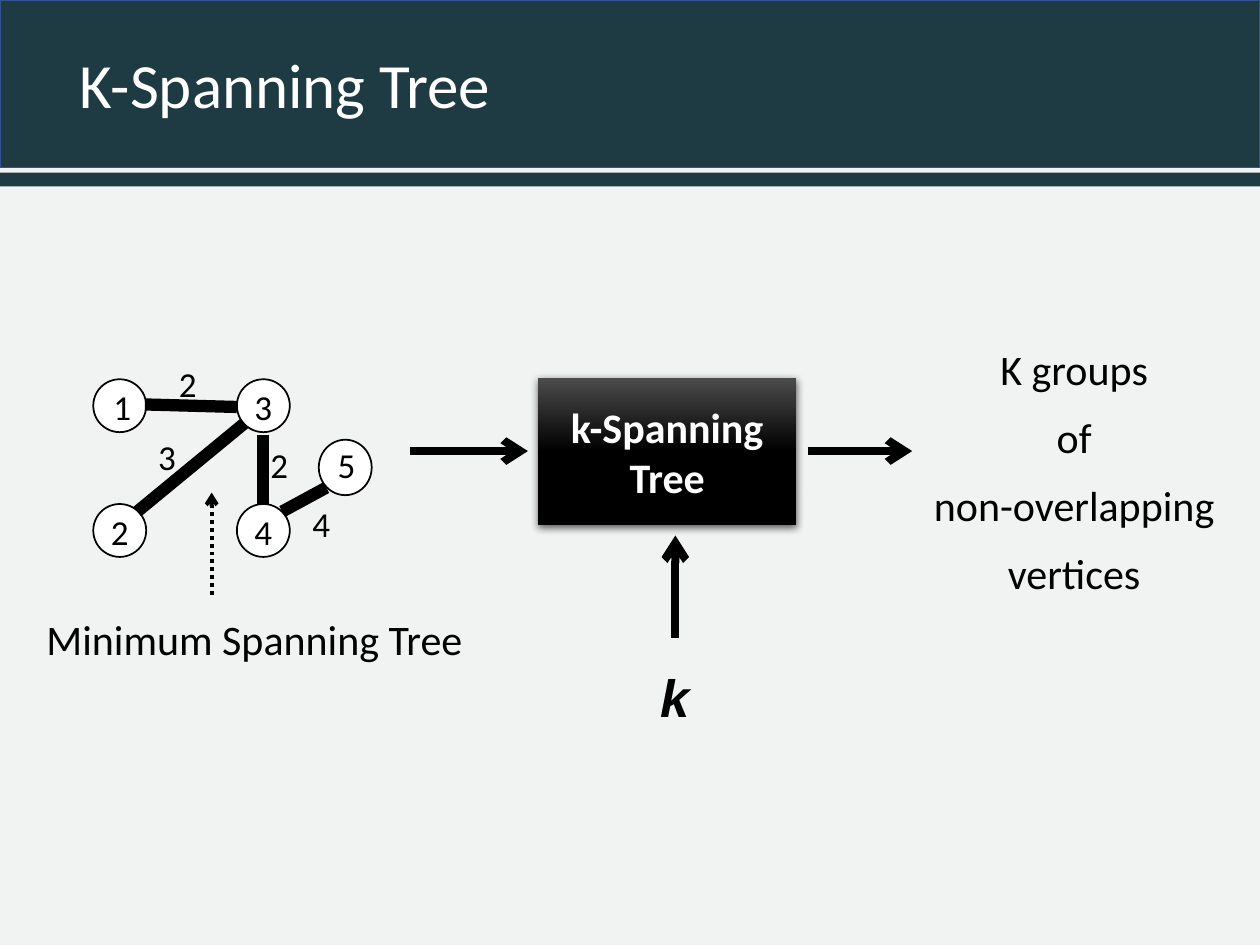
"""Build the K-Spanning Tree slide."""
from lxml.etree import SubElement as Sub
from pptx import Presentation
from pptx.dml.color import RGBColor as RGB
from pptx.enum.dml import MSO_LINE as Dash
from pptx.enum.shapes import MSO_CONNECTOR as Conn, MSO_SHAPE as Form
from pptx.enum.text import MSO_ANCHOR as Anchor, PP_ALIGN as Align
from pptx.oxml.ns import qn
from pptx.util import Pt

PX = 9144
DARK = RGB(0x1E, 0x3A, 0x42)
EDGE = RGB(0x32, 0x54, 0x91)
PALE = RGB(0xF1, 0xF3, 0xF3)
GRAY = RGB(0x4B, 0x4B, 0x4B)
BLACK = RGB(0, 0, 0)
WHITE = RGB(255, 255, 255)

deck = Presentation()
deck.slide_width, deck.slide_height = 1000 * PX, 750 * PX
slide = deck.slides.add_slide(deck.slide_layouts[6])
slide.background.fill.solid()
slide.background.fill.fore_color.rgb = PALE
shapes = slide.shapes


def write(shape, lines, wrap=True, align=Align.CENTER, anchor=Anchor.TOP, color=BLACK, **look):
    frame = shape.text_frame
    frame.word_wrap = wrap
    frame.vertical_anchor = anchor
    frame.text = "\n".join(lines)
    for i, para in enumerate(frame.paragraphs):
        para.alignment = align
        para.space_before = Pt(10 if i else 0)
        for run in para.runs:
            for key, val in ({"name": "Calibri", "size": Pt(24)} | look).items():
                setattr(run.font, key, val)
            run.font.color.rgb = color


def link(ends, width, arrow=False, dash=None):
    line = shapes.add_connector(Conn.STRAIGHT, *[n * PX for n in ends])
    line.line.color.rgb = BLACK
    line.line.width = Pt(width)
    if dash:
        line.line.dash_style = dash
    if arrow:
        Sub(line.line._get_or_add_ln(), qn("a:tailEnd"), type="arrow")
    Sub(line._element.spPr, qn("a:effectLst"))


bands = [(Form.RECTANGLE, (0, 0, 1000, 133), DARK, EDGE),
         (Form.RECTANGLE, (0, 137, 1000, 11), DARK, None)]
nodes = [(Form.OVAL, (x, y, 42, 42), WHITE, BLACK) for y in (301, 400) for x in (74, 188)]
nodes.append((Form.OVAL, (253, 349, 42, 44), WHITE, BLACK))
for form, area, fill, edge in bands + nodes:
    item = shapes.add_shape(form, *[n * PX for n in area])
    item.shadow.inherit = False
    item.fill.solid()
    item.fill.fore_color.rgb = fill
    if edge:
        item.line.color.rgb = edge
        item.line.width = Pt(1)
    else:
        item.line.fill.background()

for ends in [(115, 321, 188, 323), (194, 336, 109, 406), (209, 345, 209, 400), (224, 406, 259, 387)]:
    link(ends, 7)

tags = [("1", 76, 301, 42), ("2", 74, 400, 42), ("3", 188, 301, 42), ("4", 188, 400, 42),
        ("5", 254, 347, 42), ("2", 126, 283, 46), ("3", 105, 341, 55), ("2", 197, 347, 49),
        ("4", 232, 394, 46)]
small = {"size": Pt(20)}
texts = [([tag], (x, y, w, 44), small) for tag, x, y, w in tags]
texts += [
    (["K-Spanning Tree"], (53, 0, 947, 133),
     {"size": Pt(36), "color": WHITE, "align": Align.LEFT, "anchor": Anchor.MIDDLE}),
    (["k"], (514, 523, 44, 61),
     {"name": "Arial", "size": Pt(30), "bold": True, "italic": True, "wrap": False, "align": Align.LEFT}),
    (["Minimum Spanning Tree"], (27, 482, 377, 50), {"wrap": False, "align": Align.LEFT}),
    (["K groups", "of", "non-overlapping", "vertices"], (715, 268, 275, 214), {"wrap": False}),
]
for lines, area, look in texts:
    write(shapes.add_textbox(*[n * PX for n in area]), lines, **look)

box = shapes.add_shape(Form.RECTANGLE, *[n * PX for n in (427, 300, 205, 117)])
box.line.fill.background()
box.fill.gradient()
box.fill.gradient_angle = 270
for stop, color, place in zip(box.fill.gradient_stops, (GRAY, BLACK), (0, 0.5)):
    stop.color.rgb = color
    stop.position = place
box.shadow.inherit = False
glow = Sub(box._element.spPr.find(qn("a:effectLst")), qn("a:outerShdw"),
           blurRad=str(Pt(4.5)), dist=str(Pt(1.5)), dir="5400000", rotWithShape="0")
Sub(Sub(glow, qn("a:srgbClr"), val="000000"), qn("a:alpha"), val="63000")
write(box, ["k-Spanning Tree"], anchor=Anchor.MIDDLE, color=WHITE, bold=True)

for ends in [(325, 358, 419, 358), (536, 506, 536, 425), (641, 358, 724, 358)]:
    link(ends, 4.5, arrow=True)
link((168, 472, 168, 391), 2.25, arrow=True, dash=Dash.ROUND_DOT)

deck.save("out.pptx")
